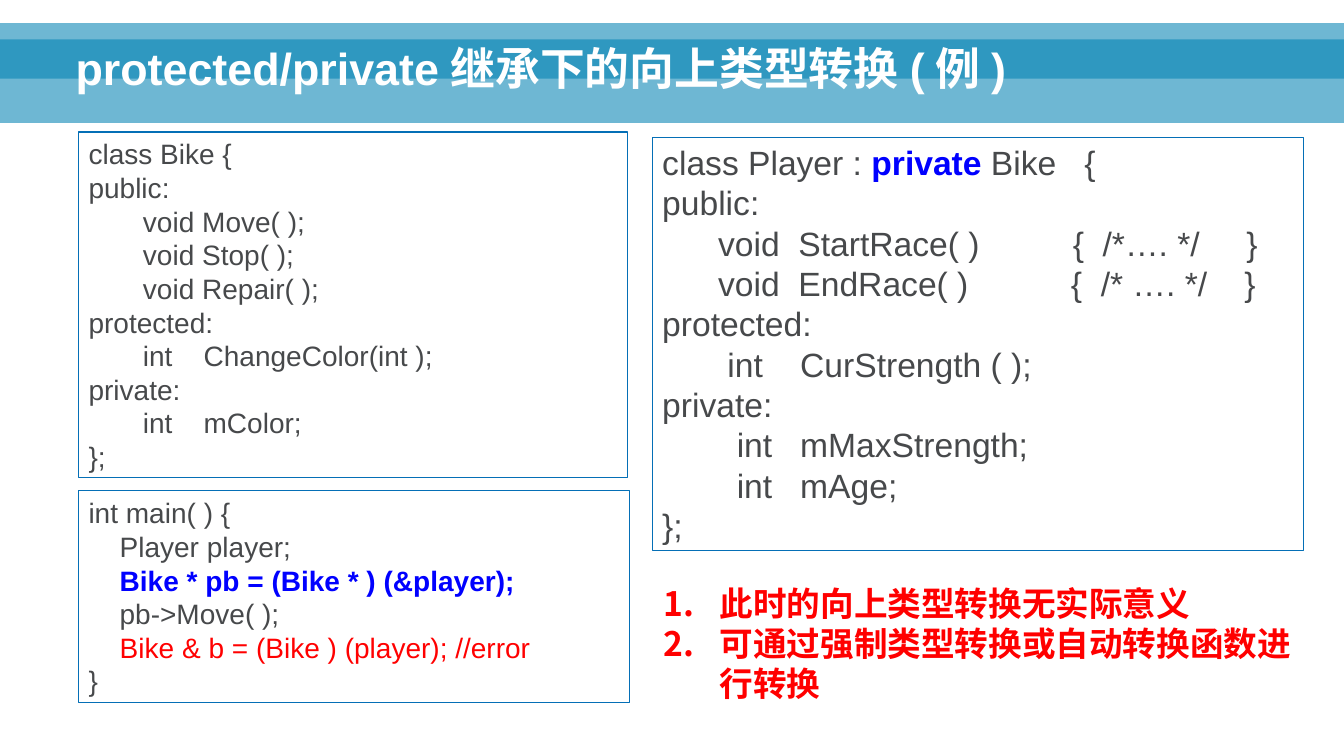
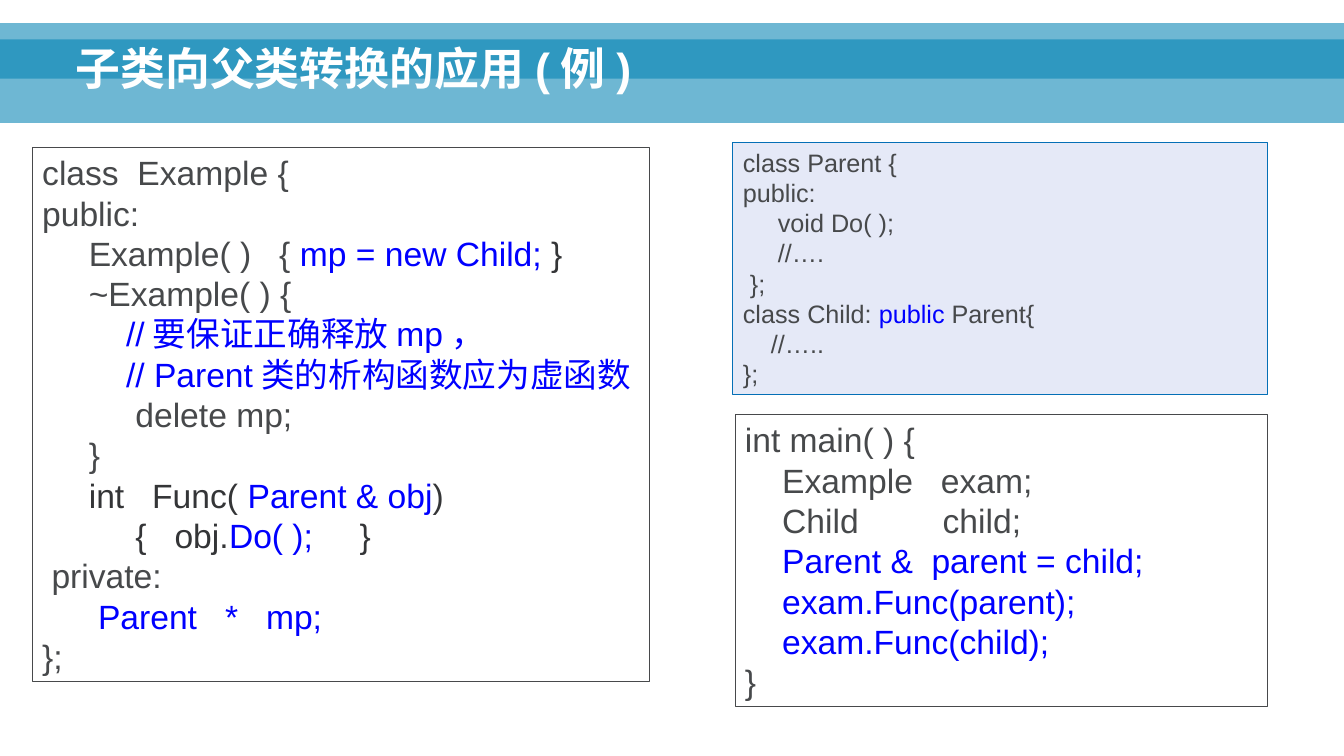
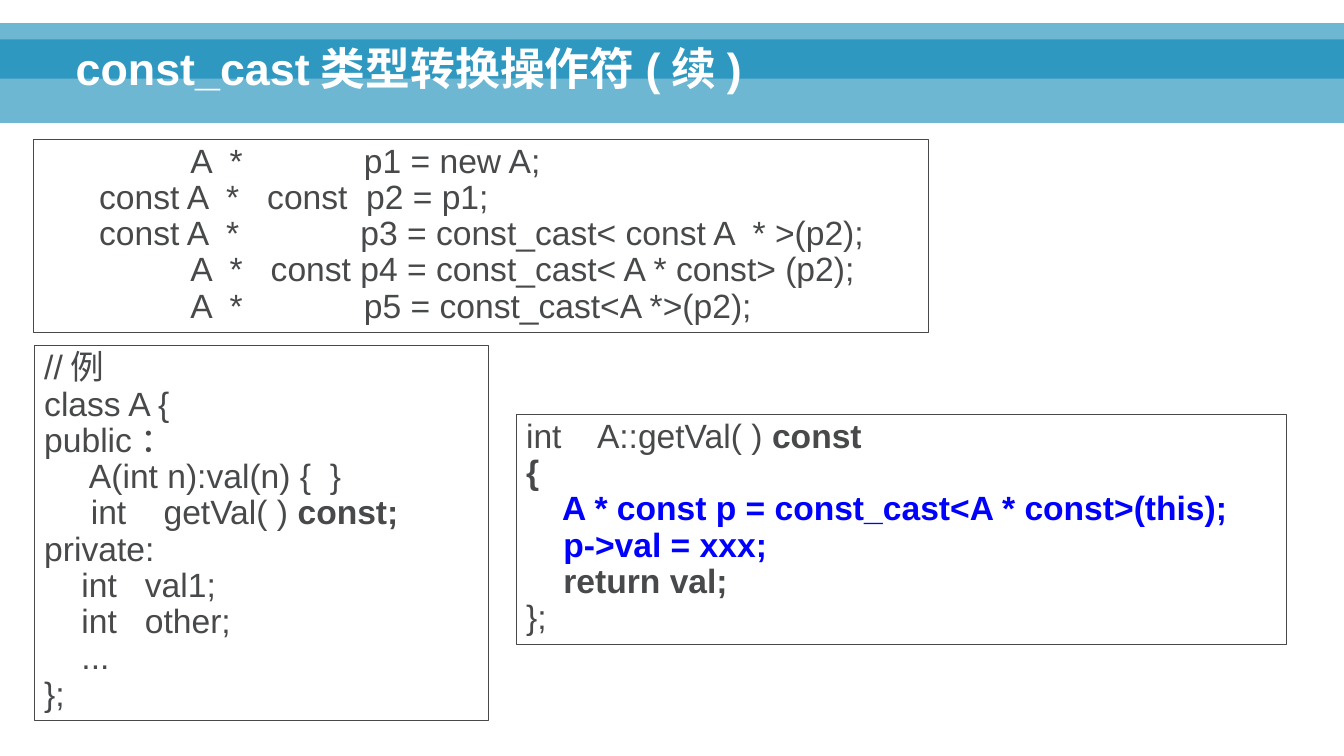
from typing import NamedTuple

from lxml import etree
from pptx import Presentation
from pptx.dml.color import RGBColor
from pptx.enum.shapes import MSO_SHAPE
from pptx.enum.text import MSO_ANCHOR, MSO_AUTO_SIZE, PP_ALIGN
from pptx.oxml.ns import qn
from pptx.util import Inches, Pt

RECTANGLE = MSO_SHAPE.RECTANGLE
TOP, BOTTOM = MSO_ANCHOR.TOP, MSO_ANCHOR.BOTTOM
NO_AUTOFIT, GROW = MSO_AUTO_SIZE.NONE, MSO_AUTO_SIZE.SHAPE_TO_FIT_TEXT
LEFT = PP_ALIGN.LEFT

COLOURS = {
    "band": "0082B3",
    "title": "FFFFFF",
    "code": "47494B",
    "dark": "343537",
    "keyword": "0000FF",
    "warning": "FF0000",
    "frame": "046FB6",
    "panel": "E5E9F7",
}
LATIN_FONT = "Arial"
CHINESE_FONT = "Noto Sans CJK SC"
TITLE_ONLY = 5
BAND_OPACITY = 57
NUMBER_INDENT = 0.56


class Box(NamedTuple):
    left: float
    top: float
    width: float
    height: float


class Piece(NamedTuple):
    text: str
    colour: str = "code"
    bold: bool = False


class CodeBox(NamedTuple):
    box: Box
    pieces: list[Piece]
    size: int = 24
    line: str = "code"
    fill: str | None = None
    spacing: float = 1.0


class CodeSlide(NamedTuple):
    title: str
    code_boxes: list[CodeBox]
    conclusions_box: Box | None = None
    conclusions: tuple[str, ...] = ()


TITLE_BOX = Box(0.65, 0.12, 11.98, 0.87)
BANDS = [Box(0, 0.39, 13.33, 0.83), Box(0, 0.23, 13.33, 0.55)]

SLIDES = [
    CodeSlide(
        "protected/private继承下的向上类型转换(例)",
        [
            CodeBox(Box(0.78, 1.31, 5.44, 3.43), [Piece("""class Bike {
public:
       void Move( );
       void Stop( );
       void Repair( );
protected:
       int    ChangeColor(int );
private:
       int    mColor;
};""")], size=20, line="frame"),
            CodeBox(Box(6.47, 1.36, 6.46, 4.1), [
                Piece("class Player : "),
                Piece("private ", "keyword", True),
                Piece("""Bike   {
public:
      void  StartRace( )          {  /*…. */     }
      void  EndRace( )           {  /* …. */    }
protected:
       int    CurStrength ( );
private:
        int   mMaxStrength;
        int   mAge;
};"""),
            ], line="frame"),
            CodeBox(Box(0.78, 4.87, 5.46, 2.1), [
                Piece("int main( ) {\n    Player player;\n    "),
                Piece("Bike * pb = (Bike * ) (&player);\n", "keyword", True),
                Piece("    pb->Move( );\n    "),
                Piece("Bike & b = (Bike ) (player); //error\n", "warning"),
                Piece("}"),
            ], size=20, line="frame"),
        ],
        Box(6.48, 5.73, 6.44, 1.33),
        ("此时的向上类型转换无实际意义", "可通过强制类型转换或自动转换函数进行转换"),
    ),
    CodeSlide(
        "子类向父类转换的应用(例)",
        [
            CodeBox(Box(0.32, 1.46, 6.12, 5.3), [
                Piece("class  Example {\npublic:\n     Example( )   { "),
                Piece("mp = new Child;", "keyword"),
                Piece(" }\n", "dark"),
                Piece("     ~Example( ) {\n"),
                Piece("""         //要保证正确释放mp，
         // Parent类的析构函数应为虚函数
""", "keyword"),
                Piece("          delete mp;\n     }\n"),
                Piece("     int   Func( ", "dark"),
                Piece("Parent & obj", "keyword"),
                Piece(")\n          {   obj.", "dark"),
                Piece("Do( );", "keyword"),
                Piece("     }\n", "dark"),
                Piece(" private:\n"),
                Piece("      Parent   *   mp;\n", "keyword"),
                Piece("};"),
            ]),
            CodeBox(Box(7.27, 1.41, 5.3, 2.5), [
                Piece("""class Parent {
public:
     void Do( );
     //….
 };
class Child: """),
                Piece("public", "keyword"),
                Piece(" Parent{\n    //…..\n};"),
            ], size=18, line="frame", fill="panel"),
            CodeBox(Box(7.29, 4.11, 5.28, 2.9), [
                Piece("""int main( ) {
    Example   exam;
    Child         child;
"""),
                Piece("""    Parent &  parent = child;
    exam.Func(parent);
    exam.Func(child);
""", "keyword"),
                Piece("}"),
            ]),
        ],
    ),
    CodeSlide(
        "const_cast类型转换操作符(续)",
        [
            CodeBox(Box(0.33, 1.38, 8.88, 1.92), [
                Piece("""                A  *             p1 = new A;
      const A  *   const  p2 = p1;
      const A  *             p3 = const_cast< const A  * >(p2);
                A  *   const p4 = const_cast< A * const> (p2);
                A  *             p5 = const_cast<A *>(p2);"""),
            ], spacing=0.9),
            CodeBox(Box(0.34, 3.43, 4.51, 3.72), [
                Piece("""//例
class A {
public：
     A(int n):val(n) {  }
     int    getVal( ) """),
                Piece("const;\n", bold=True),
                Piece("""private:
    int   val1;
    int   other;
    ...
};"""),
            ], spacing=0.9),
            CodeBox(Box(5.12, 4.11, 7.64, 2.28), [
                Piece("int    A::getVal( ) "),
                Piece("const\n{\n", bold=True),
                Piece("""    A * const p = const_cast<A * const>(this);
    p->val = xxx;
""", "keyword", True),
                Piece("    return val;\n", bold=True),
                Piece("};"),
            ], spacing=0.9),
        ],
    ),
]


def colour(name: str) -> RGBColor:
    return RGBColor.from_string(COLOURS[name])


def lengths(box: Box) -> list[Inches]:
    return [Inches(value) for value in box]


def number_paragraph(paragraph) -> None:
    properties = paragraph._p.get_or_add_pPr()
    properties.set("marL", str(Inches(NUMBER_INDENT)))
    properties.set("indent", str(-Inches(NUMBER_INDENT)))
    etree.SubElement(properties, qn("a:buAutoNum"), type="arabicPeriod")


def write_text(shape, pieces: list[Piece], *, size: int, font: str = LATIN_FONT,
               spacing: float = 1.0, anchor=TOP, auto_size=GROW,
               numbered: bool = False) -> None:
    """Write coloured pieces; each line break starts a new paragraph."""
    frame = shape.text_frame
    frame.word_wrap = True
    frame.auto_size = auto_size
    frame.vertical_anchor = anchor
    paragraph = frame.paragraphs[0]
    for piece in pieces:
        for index, text in enumerate(piece.text.split("\n")):
            if index:
                paragraph = frame.add_paragraph()
            if not text:
                continue
            run = paragraph.add_run()
            run.text = text
            run.font.name = font
            run.font.size = Pt(size)
            run.font.bold = piece.bold
            run.font.color.rgb = colour(piece.colour)
            etree.SubElement(run._r.get_or_add_rPr(), qn("a:ea"), typeface=CHINESE_FONT)
    for paragraph in frame.paragraphs:
        if numbered:
            number_paragraph(paragraph)
        paragraph.alignment = LEFT
        paragraph.line_spacing = spacing


def add_rectangle(slide, box: Box, fill: str | None = None, line: str | None = None):
    shape = slide.shapes.add_shape(RECTANGLE, *lengths(box))
    shape.shadow.inherit = False
    if fill:
        shape.fill.solid()
        shape.fill.fore_color.rgb = colour(fill)
    else:
        shape.fill.background()
    if line:
        shape.line.color.rgb = colour(line)
        shape.line.width = Pt(0.75)
    else:
        shape.line.fill.background()
    return shape


def add_layout_bands(layout, slide) -> None:
    """Draw the header bands on a slide, then move them behind the layout's parts."""
    for index, box in enumerate(BANDS):
        band = add_rectangle(slide, box, fill="band")
        tint = band.element.spPr.find(f"{qn('a:solidFill')}/{qn('a:srgbClr')}")
        etree.SubElement(tint, qn("a:alpha"), val=str(BAND_OPACITY * 1000))
        band.element.nvSpPr.cNvPr.set("id", str(100 + index))
        layout.shapes.element.insert(2 + index, band.element)


def fill_slide(slide, content: CodeSlide) -> None:
    # Title
    title = slide.shapes.title
    title.left, title.top, title.width, title.height = lengths(TITLE_BOX)
    write_text(title, [Piece(content.title, "title", True)], size=32, spacing=0.9,
               anchor=BOTTOM, auto_size=NO_AUTOFIT)
    # Code boxes
    for code in content.code_boxes:
        shape = add_rectangle(slide, code.box, code.fill, code.line)
        write_text(shape, code.pieces, size=code.size, spacing=code.spacing)
    # Numbered conclusions
    if content.conclusions_box:
        text_box = slide.shapes.add_textbox(*lengths(content.conclusions_box))
        write_text(text_box, [Piece("\n".join(content.conclusions), "warning", True)],
                   size=24, font=CHINESE_FONT, numbered=True)


def main() -> None:
    presentation = Presentation()
    presentation.slide_width = Inches(13.33)
    presentation.slide_height = Inches(7.5)
    layout = presentation.slide_layouts[TITLE_ONLY]
    slides = [presentation.slides.add_slide(layout) for _ in SLIDES]
    add_layout_bands(layout, slides[0])
    for slide, content in zip(slides, SLIDES):
        fill_slide(slide, content)
    presentation.save("out.pptx")


if __name__ == "__main__":
    main()
